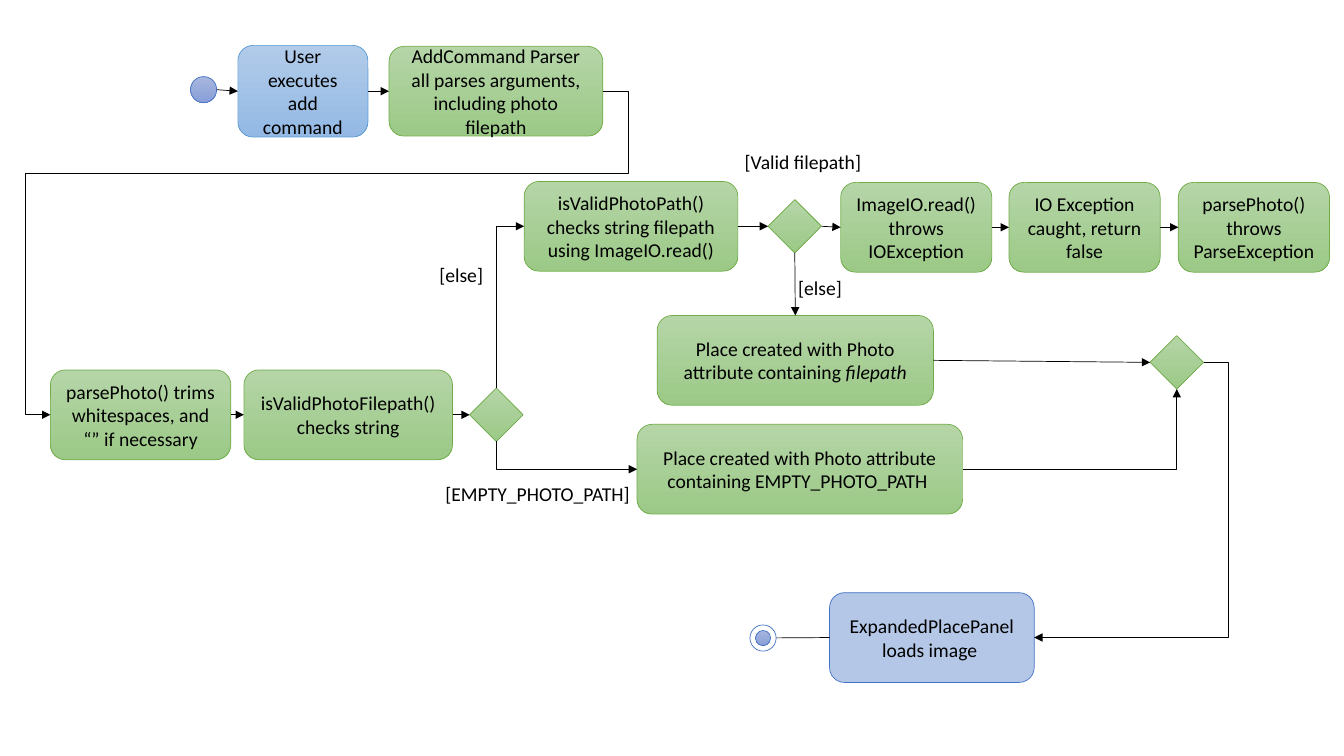
import dataclasses
import typing

import lxml.etree
import pptx
import pptx.dml.color
import pptx.enum.shapes
import pptx.enum.text
import pptx.oxml.ns
import pptx.util

COLS, ROWS = 133.33, 75
CELL = pptx.util.Inches(0.1)
KINDS = pptx.enum.shapes.MSO_SHAPE
LINES = pptx.enum.shapes.MSO_CONNECTOR
TOP, LEFT, BASE, RIGHT = range(4)
HUES = {
    "ink": "000000", "white": "FFFFFF",
    "leaf": "B5D5A7", "leaf end": "9CC987", "leaf rim": "70AD47",
    "sky": "B1CBE9", "sky end": "93B9E4", "sky rim": "5B9BD5",
    "dusk": "A8B7DF", "dusk end": "889ED7", "dusk rim": "4472C4",
    "pale": "B4C7E7",
}
FONT = {"name": "Calibri", "size": pptx.util.Pt(14)}
FRAME = {"word_wrap": True, "vertical_anchor": pptx.enum.text.MSO_ANCHOR.MIDDLE}
STROKE = {"width": pptx.util.Pt(0.5)}
Point = tuple[float, float]


@dataclasses.dataclass(frozen=True)
class Node:
    x: float
    y: float
    w: float
    h: float = 8.9
    text: str = ""
    slant: str = ""
    kind: typing.Any = KINDS.ROUNDED_RECTANGLE
    fill: str = "leaf"
    rim: str = "leaf rim"

    def side(self, site: int) -> Point:
        mid_x, mid_y = self.x + self.w / 2, self.y + self.h / 2
        return ((mid_x, self.y), (self.x, mid_y),
                (mid_x, self.y + self.h), (self.x + self.w, mid_y))[site]


@dataclasses.dataclass(frozen=True)
class Link:
    start: str
    end: str
    out: int = RIGHT
    into: int = LEFT
    bends: int = 0
    turn: int = 0
    flip: str = ""
    shifts: tuple[float, ...] = ()


@dataclasses.dataclass(frozen=True)
class Label:
    x: float
    y: float
    w: float
    text: str


def fork(x: float, y: float) -> Node:
    return Node(x, y, 5.3, 5.3, kind=KINDS.DIAMOND)


def dot(x: float, y: float, size: float, fill: str = "dusk") -> Node:
    return Node(x, y, size, size, kind=KINDS.OVAL, fill=fill, rim="dusk rim")


NODES = {
    "start": dot(18.9, 7.6, 2.6),
    "user": Node(23.6, 4.5, 12.9, 9.1, "User executes add command",
                 fill="sky", rim="sky rim"),
    "parser": Node(38.6, 4.6, 21.2, text="AddCommand Parser all parses "
                   "arguments, including photo filepath"),
    "trim": Node(5, 36.7, 17.9, text="parsePhoto() trims whitespaces, "
                 "and “” if necessary"),
    "check": Node(24.2, 36.7, 20.7, text="isValidPhotoFilepath() checks string"),
    "empty?": fork(46.6, 38.5),
    "valid": Node(52, 18, 21.2, text="isValidPhotoPath() checks string "
                  "filepath using ImageIO.read()"),
    "valid?": fork(76.2, 19.8),
    "read": Node(83.4, 18.1, 15, text="ImageIO.read() throws\nIOException"),
    "caught": Node(100.1, 18.1, 15, text="IO Exception\ncaught, return false"),
    "throw": Node(116.9, 18.1, 15, text="parsePhoto() throws ParseException"),
    "photo": Node(65.2, 31.3, 27.4, text="Place created with Photo attribute "
                  "containing ", slant="filepath"),
    "blank": Node(63.2, 42.1, 32.3, text="Place created with Photo attribute "
                  "containing EMPTY_PHOTO_PATH "),
    "merge": fork(114.1, 33.3),
    "panel": Node(82.3, 58.8, 20.3, text="ExpandedPlacePanel loads image ",
                  fill="pale", rim="dusk rim"),
}
ENDS = {"ring": dot(74.4, 62, 2.6, "white"), "core": dot(74.95, 62.55, 1.5)}
LINKS = (
    Link("start", "user"), Link("user", "parser"),
    Link("trim", "check"), Link("check", "empty?"),
    Link("valid", "valid?"), Link("valid?", "read"),
    Link("read", "caught"), Link("caught", "throw"),
    Link("valid?", "photo", BASE, TOP), Link("photo", "merge"),
    Link("panel", "ring", LEFT, LEFT),
    Link("empty?", "valid", TOP, LEFT, 2, 90, "HV"),
    Link("empty?", "blank", BASE, LEFT, 2, 270, "H"),
    Link("blank", "merge", RIGHT, BASE, 2, 0, "V"),
    Link("merge", "panel", RIGHT, RIGHT, 3, 0, "H", (-0.149,)),
    Link("parser", "trim", RIGHT, LEFT, 5, 0, "H", (-0.046, 0.253, 1.046)),
)
LABELS = (
    Label(42.6, 25.5, 9.3, "[else]"),
    Label(72.9, 14.3, 13.7, "[Valid filepath]"),
    Label(43.2, 47.3, 20.7, "[EMPTY_PHOTO_PATH]"),
    Label(78.2, 26.8, 9.3, "[else]"),
)


def grid(*cells: float) -> list[int]:
    return [round(cell * CELL) for cell in cells]


def hue(name: str) -> pptx.dml.color.RGBColor:
    return pptx.dml.color.RGBColor.from_string(HUES[name])


def style(target: typing.Any, values: dict[str, typing.Any]) -> None:
    for name, value in values.items():
        setattr(target, name, value)


def write(frame: typing.Any, text: str, align: typing.Any, slant: str = "") -> None:
    style(frame, FRAME)
    for count, words in enumerate(text.split("\n")):
        para = frame.add_paragraph() if count else frame.paragraphs[0]
        para.alignment = align
        para.add_run().text = words
    if slant:
        run = para.add_run()
        style(run, {"text": slant})
        run.font.italic = True
    for para in frame.paragraphs:
        for run in para.runs:
            style(run.font, FONT)
            run.font.color.rgb = hue("ink")


def draw_node(shapes: typing.Any, node: Node) -> typing.Any:
    shape = shapes.add_shape(node.kind, *grid(node.x, node.y, node.w, node.h))
    shape.shadow.inherit = False
    if node.fill + " end" in HUES:
        shape.fill.gradient()
        shape.fill.gradient_angle = 270
        for stop, name in zip(shape.fill.gradient_stops, (node.fill, node.fill + " end")):
            stop.color.rgb = hue(name)
    else:
        shape.fill.solid()
        shape.fill.fore_color.rgb = hue(node.fill)
    shape.line.color.rgb = hue(node.rim)
    style(shape.line, STROKE)
    if node.text:
        write(shape.text_frame, node.text, pptx.enum.text.PP_ALIGN.CENTER, node.slant)
    return shape


def bend(line: typing.Any, link: Link, start: Point, end: Point) -> None:
    wide, tall = (abs(b - a) for a, b in zip(start, end))
    if link.turn % 180:
        wide, tall = tall, wide
    mid_x, mid_y = ((a + b) / 2 for a, b in zip(start, end))
    box = grid(mid_x - wide / 2, mid_y - tall / 2, wide, tall)
    style(line, dict(zip(("left", "top", "width", "height"), box)))
    props = line._element.spPr
    frame = props.find(pptx.oxml.ns.qn("a:xfrm"))
    frame.set("rot", str(link.turn * 60000))
    for axis in "HV":
        frame.set("flip" + axis, str(int(axis in link.flip)))
    form = props.find(pptx.oxml.ns.qn("a:prstGeom"))
    form.set("prst", f"bentConnector{link.bends}")
    guides = form.find(pptx.oxml.ns.qn("a:avLst"))
    for count, shift in enumerate(link.shifts, 1):
        lxml.etree.SubElement(guides, pptx.oxml.ns.qn("a:gd"), name=f"adj{count}",
                              fmla=f"val {round(shift * 100000)}")


def draw_link(shapes: typing.Any, link: Link, drawn: dict[str, typing.Any]) -> None:
    nodes = NODES | ENDS
    start, end = nodes[link.start].side(link.out), nodes[link.end].side(link.into)
    kind = LINES.ELBOW if link.bends else LINES.STRAIGHT
    line = shapes.add_connector(kind, *grid(*start, *end))
    if link.bends:
        bend(line, link, start, end)
    elif KINDS.OVAL not in (nodes[link.start].kind, nodes[link.end].kind):
        line.begin_connect(drawn[link.start], link.out)
        line.end_connect(drawn[link.end], link.into)
    line.line.color.rgb = hue("ink")
    style(line.line, STROKE)
    props = line._element.spPr
    stroke = props.find(pptx.oxml.ns.qn("a:ln"))
    lxml.etree.SubElement(stroke, pptx.oxml.ns.qn("a:tailEnd"), type="triangle")
    lxml.etree.SubElement(props, pptx.oxml.ns.qn("a:effectLst"))


def main() -> None:
    deck = pptx.Presentation()
    style(deck, dict(zip(("slide_width", "slide_height"), grid(COLS, ROWS))))
    shapes = deck.slides.add_slide(deck.slide_layouts[6]).shapes
    drawn = {name: draw_node(shapes, node) for name, node in NODES.items()}
    for link in LINKS:
        draw_link(shapes, link, drawn)
    for node in ENDS.values():
        draw_node(shapes, node)
    for label in LABELS:
        box = shapes.add_textbox(*grid(label.x, label.y, label.w, 3.4))
        write(box.text_frame, label.text, pptx.enum.text.PP_ALIGN.LEFT)
    deck.save("out.pptx")


if __name__ == "__main__":
    main()
